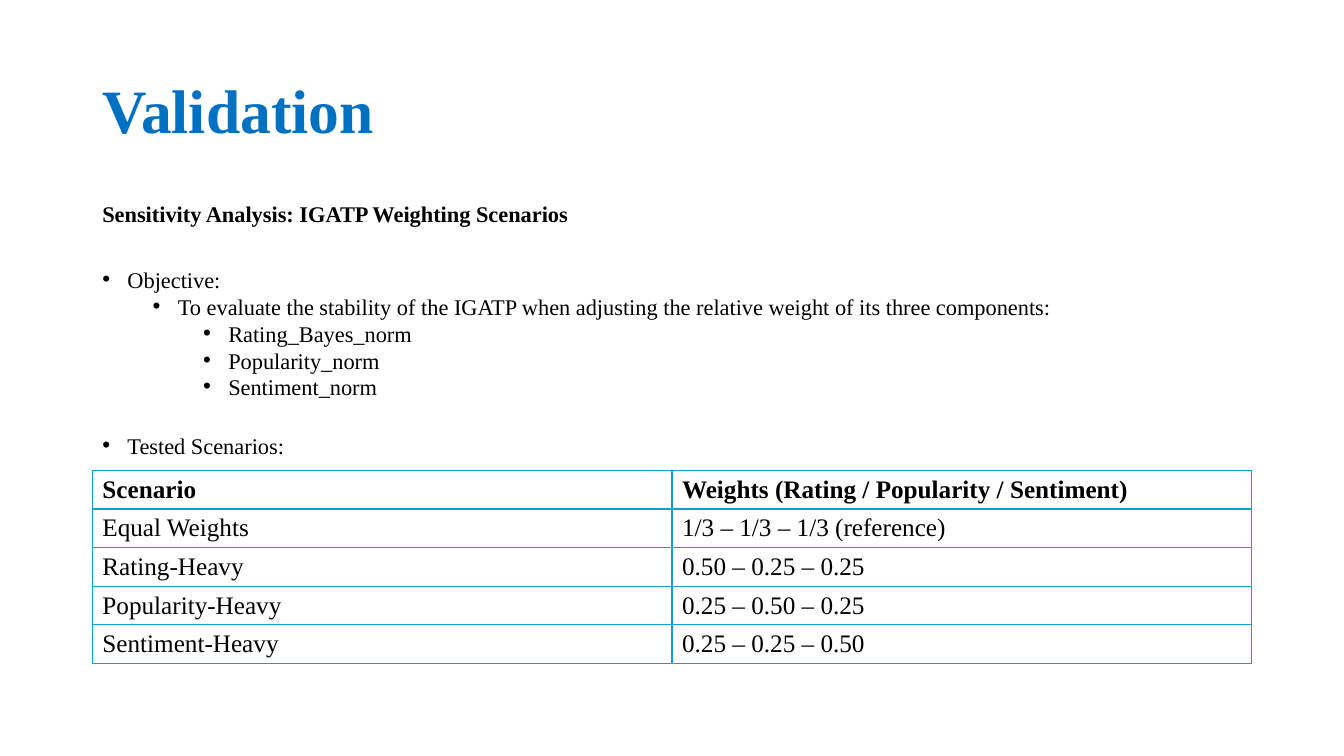
from lxml import etree
from pptx import Presentation
from pptx.dml.color import RGBColor
from pptx.enum.text import MSO_ANCHOR
from pptx.oxml.ns import qn
from pptx.util import Pt

MIDDLE, TOP = MSO_ANCHOR.MIDDLE, MSO_ANCHOR.TOP
BLUE = RGBColor(0x00, 0x70, 0xC0)
BLACK = RGBColor(0x00, 0x00, 0x00)
WHITE = RGBColor(0xFF, 0xFF, 0xFF)
EDGE = RGBColor(0x0F, 0x9E, 0xD5)
LEFT, WIDTH = 66, 828
ROW = 27.15


def write(para, text, size=16, color=BLACK, bold=False, line=None, before=0, level=None):
    """Fill a paragraph; a level of 0 or more makes it a bullet."""
    if level is not None:
        props = para._p.get_or_add_pPr()
        props.set("marL", str(Pt(18 + 36 * level)))
        props.set("indent", str(Pt(-18)))
        etree.SubElement(props, qn("a:buFont"), typeface="Arial")
        etree.SubElement(props, qn("a:buChar"), char="•")
        para.level = level
    if line:
        para.line_spacing = line
    if before:
        para.space_before = Pt(before)
    run = para.add_run()
    run.text = text
    font = run.font
    font.name, font.size, font.bold = "Times New Roman", Pt(size), bold
    font.color.rgb = color


class Deck:
    def __init__(self):
        self.prs = Presentation()
        self.prs.slide_width, self.prs.slide_height = Pt(960), Pt(540)
        self.slide = self.prs.slides.add_slide(self.prs.slide_layouts[6])

    def text(self, top, height, items, anchor=TOP):
        box = self.slide.shapes.add_textbox(Pt(LEFT), Pt(top), Pt(WIDTH), Pt(height))
        frame = box.text_frame
        frame.word_wrap = True
        frame.vertical_anchor = anchor
        for i, (words, style) in enumerate(items):
            para = frame.add_paragraph() if i else frame.paragraphs[0]
            write(para, words, **style)

    def border(self, cell):
        props = cell._tc.get_or_add_tcPr()
        for side in ("lnL", "lnR", "lnT", "lnB"):
            line = etree.SubElement(props, qn("a:" + side), w=str(Pt(1)))
            fill = etree.SubElement(line, qn("a:solidFill"))
            etree.SubElement(fill, qn("a:srgbClr"), val=str(EDGE))

    def table(self, top, rows):
        count, cols = len(rows), len(rows[0])
        table = self.slide.shapes.add_table(
            count, cols, Pt(LEFT), Pt(top), Pt(WIDTH), Pt(ROW * count)).table
        table.first_row = table.horz_banding = False
        for r, row in enumerate(rows):
            table.rows[r].height = Pt(ROW)
            for c, words in enumerate(row):
                cell = table.cell(r, c)
                self.border(cell)
                cell.fill.solid()
                cell.fill.fore_color.rgb = WHITE
                cell.vertical_anchor = MIDDLE
                cell.margin_top = cell.margin_bottom = Pt(3)
                write(cell.text_frame.paragraphs[0], words, size=18, bold=r == 0)


def main():
    deck = Deck()

    # Title
    title = dict(size=44, color=BLUE, bold=True, line=0.9)
    deck.text(28.75, 104.4, [("Validation", title)], MIDDLE)

    # Objective and bullets
    def point(level, before=5.7):
        return dict(level=level, before=before, line=0.7)

    deck.text(145, 181, [
        ("Sensitivity Analysis: IGATP Weighting Scenarios", dict(bold=True, line=0.7)),
        ("Objective:", point(0, 33.5)),
        ("To evaluate the stability of the IGATP when adjusting the relative "
         "weight of its three components:", point(1)),
        ("Rating_Bayes_norm", point(2)),
        ("Popularity_norm", point(2)),
        ("Sentiment_norm", point(2)),
        ("Tested Scenarios:", point(0, 28.5)),
    ])

    # Scenario weights
    deck.table(336, [
        ("Scenario", "Weights (Rating / Popularity / Sentiment)"),
        ("Equal Weights", "1/3 – 1/3 – 1/3 (reference)"),
        ("Rating-Heavy", "0.50 – 0.25 – 0.25"),
        ("Popularity-Heavy", "0.25 – 0.50 – 0.25"),
        ("Sentiment-Heavy", "0.25 – 0.25 – 0.50"),
    ])
    deck.prs.save("out.pptx")


if __name__ == "__main__":
    main()
